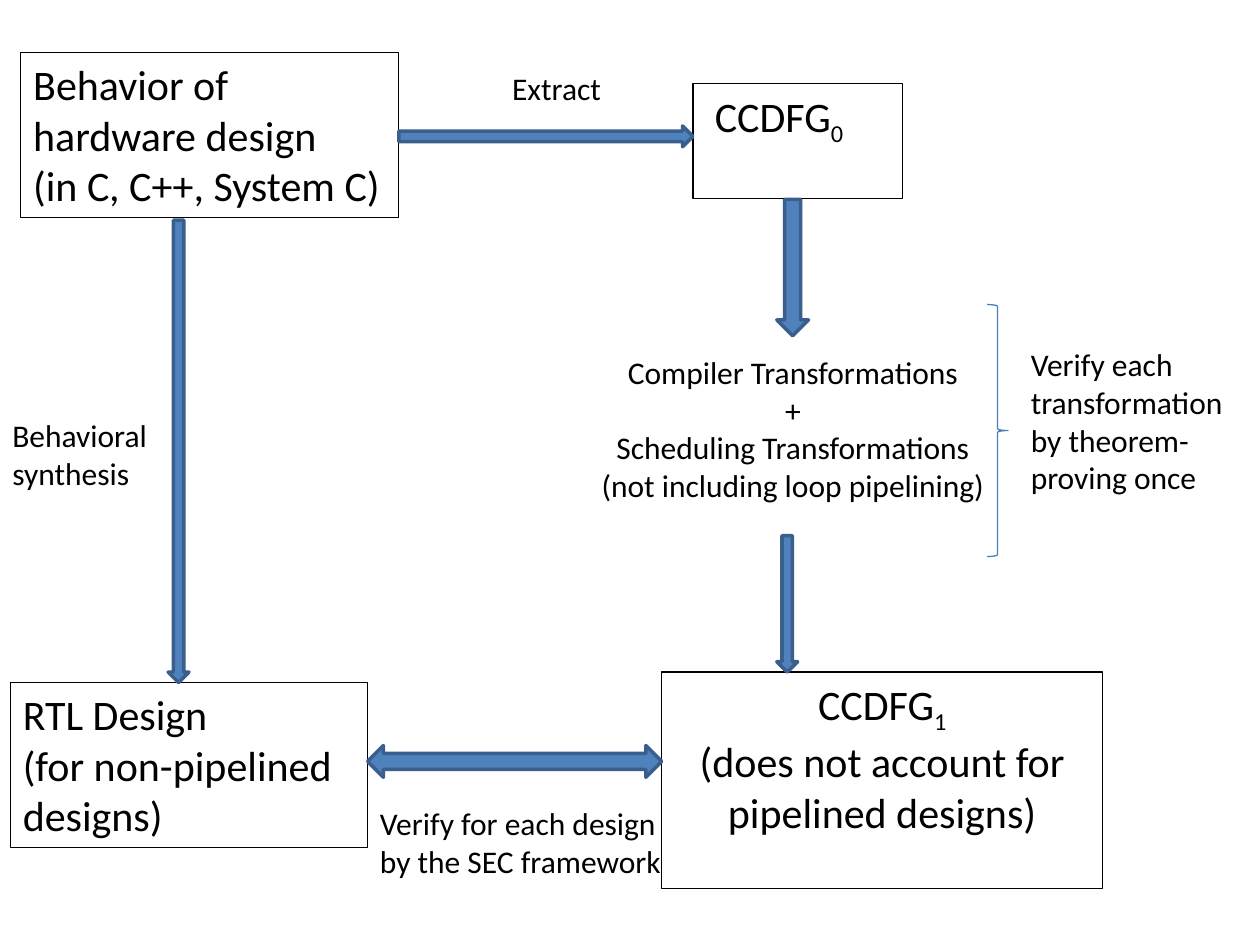
from pptx import Presentation
from pptx.dml.color import RGBColor
from pptx.enum.shapes import MSO_SHAPE as Shape
from pptx.enum.text import MSO_ANCHOR as Anchor, PP_ALIGN as Align
from pptx.util import Cm, Pt

FONT = "Calibri"
BLACK, BLUE, DARK_BLUE, BRACE_BLUE = "000000", "4F81BD", "3A5F8C", "4B7EBC"
BOX_SIZE, LABEL_SIZE = 24, 18
LEFT, CENTER = Align.LEFT, Align.CENTER

# Boxes: place in cm, alignment, left inset, paragraphs;
# a paragraph is a string or a (text, subscript) pair
BOXES = [
    ((0.42, 1.06, 7.62, 3.33), LEFT, 0.25,
     ["Behavior of", "hardware design", "(in C, C++, System C)"]),
    ((13.97, 1.69, 4.23, 2.31), LEFT, 0.44, [("CCDFG", "0")]),
    ((13.34, 13.55, 8.89, 4.37), CENTER, 0.25,
     [("CCDFG", "1"), "(does not account for pipelined designs)"]),
    ((0.21, 13.76, 7.2, 3.33), LEFT, 0.25,
     ["RTL Design", "(for non-pipelined designs)"]),
]

# Labels: place in cm, alignment, paragraphs
LABELS = [
    ((0, 8.26, 6.56, 1.8), LEFT, ["Behavioral", "synthesis"]),
    ((10.8, 6.99, 10.37, 3.33), CENTER,
     ["Compiler Transformations", "+", "Scheduling Transformations",
      "(not including loop pipelining)"]),
    ((20.53, 6.83, 4.87, 3.33), LEFT,
     ["Verify each", "transformation", "by theorem-", "proving once"]),
    ((8.89, 1.27, 4.66, 1.06), CENTER, ["Extract"]),
    ((7.41, 16.09, 6.35, 1.8), LEFT,
     ["Verify for each design by the SEC framework"]),
]

ARROWS = [
    (Shape.RIGHT_ARROW, (8.04, 2.54, 5.93, 0.42)),
    (Shape.DOWN_ARROW, (3.39, 4.44, 0.42, 9.32)),
    (Shape.LEFT_RIGHT_ARROW, (7.41, 15.03, 5.93, 0.64)),
    (Shape.DOWN_ARROW, (15.66, 10.8, 0.42, 2.75)),
    (Shape.DOWN_ARROW, (15.66, 4.02, 0.64, 2.75)),
]
BRACE = (19.9, 6.14, 0.42, 5.08)


def color(hex_value):
    return RGBColor.from_string(hex_value)


def add_shape(kind, place, line, width, fill=None):
    shape = slide.shapes.add_shape(kind, *map(Cm, place))
    shape.shadow.inherit = False
    if fill:
        shape.fill.solid()
        shape.fill.fore_color.rgb = color(fill)
    else:
        shape.fill.background()
    shape.line.color.rgb = color(line)
    shape.line.width = Pt(width)
    return shape


def write(shape, paragraphs, size, alignment):
    frame = shape.text_frame
    frame.word_wrap = True
    frame.vertical_anchor = Anchor.TOP
    for index, content in enumerate(paragraphs):
        paragraph = frame.add_paragraph() if index else frame.paragraphs[0]
        paragraph.alignment = alignment
        parts = (content,) if isinstance(content, str) else content
        for position, text in enumerate(parts):
            run = paragraph.add_run()
            run.text = text
            run.font.name = FONT
            run.font.size = Pt(size)
            run.font.color.rgb = color(BLACK)
            if position:  # second part is a subscript
                run._r.get_or_add_rPr().set("baseline", "-25000")


presentation = Presentation()
presentation.slide_width, presentation.slide_height = Cm(25.4), Cm(19.05)
slide = presentation.slides.add_slide(presentation.slide_layouts[6])

# Design stages
for place, alignment, inset, paragraphs in BOXES:
    box = add_shape(Shape.RECTANGLE, place, BLACK, 0.75)
    box.text_frame.margin_left = Cm(inset)
    write(box, paragraphs, BOX_SIZE, alignment)

# Arrows and brace
for kind, place in ARROWS:
    add_shape(kind, place, DARK_BLUE, 2, BLUE)
add_shape(Shape.RIGHT_BRACE, BRACE, BRACE_BLUE, 0.75)

# Step labels
for place, alignment, paragraphs in LABELS:
    label = slide.shapes.add_textbox(*map(Cm, place))
    write(label, paragraphs, LABEL_SIZE, alignment)

presentation.save("out.pptx")
